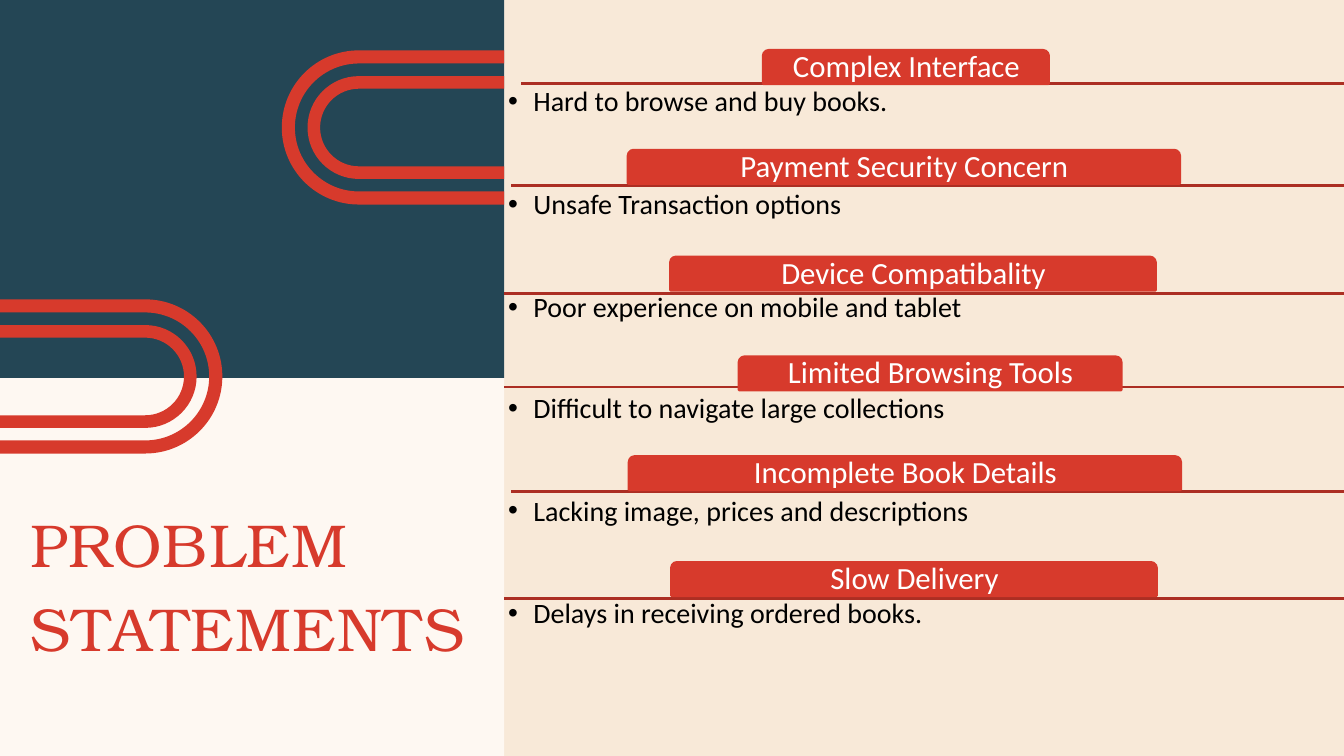
from lxml.etree import SubElement
from pptx import Presentation
from pptx.dml.color import RGBColor
from pptx.enum.shapes import MSO_CONNECTOR, MSO_SHAPE
from pptx.enum.text import MSO_ANCHOR, PP_ALIGN
from pptx.oxml.ns import qn
from pptx.util import Inches, Pt

TITLE = "PROBLEM STATEMENTS"
PROBLEMS = [
    ("Complex Interface", "Hard to browse and buy books."),
    ("Payment Security Concern", "Unsafe Transaction options"),
    ("Device Compatibality", "Poor experience on mobile and tablet"),
    ("Limited Browsing Tools", "Difficult to navigate large collections"),
    ("Incomplete Book Details", "Lacking image, prices and descriptions"),
    ("Slow Delivery", "Delays in receiving ordered books."),
]
COLORS = {
    "sand": "F8E9D8", "cream": "FEF8F2", "teal": "244655",
    "red": "D73A2C", "rule": "AC2E23", "white": "FFFFFF", "black": "000000",
}

WIDTH, HEIGHT = 13.33, 7.5
PANEL = 5
COLUMN = WIDTH - PANEL
TRIO = 3
TAB_HEIGHT = 0.33
TAB_LEFTS = (7.57, 6.23, 6.65, 7.33, 6.24, 6.66)
TAB_WIDTHS = (2.83, 5.47, 4.81, 3.79, 5.47, 4.81)
TAB_TOPS = (0.5, 1.49, 2.55, 3.54, 4.53, 5.58)
RULE_STARTS = (5.17, 5.07, 5, 5, 5.07, 5)
RULE_TOPS = (0.83, 1.84, 2.91, 3.84, 4.88, 5.94)
DETAIL_TOPS = (0.83, 1.85, 2.87, 3.87, 4.89, 5.91)
LOOP_REACH = 1.44
LOOP_BANDS = ((0.765, 0.635), (0.51, 0.385))
ARC_HANDLE = 0.5523


def rgb(name):
    return RGBColor.from_string(COLORS[name])


def paint(shape, color):
    shape.shadow.inherit = False
    shape.fill.solid()
    shape.fill.fore_color.rgb = rgb(color)
    shape.line.fill.background()


def add_filled(shapes, preset, box, color):
    shape = shapes.add_shape(preset, *map(Inches, box))
    paint(shape, color)
    return shape


def add_text(shapes, box, text, font, size, color, anchor, margins):
    holder = shapes.add_textbox(*map(Inches, box))
    frame = holder.text_frame
    frame.word_wrap = True
    frame.vertical_anchor = anchor
    frame.margin_left, frame.margin_top, frame.margin_right, frame.margin_bottom = map(Inches, margins)
    paragraph = frame.paragraphs[0]
    paragraph.text = text
    paragraph.font.name = font
    paragraph.font.size = Pt(size)
    paragraph.font.color.rgb = rgb(color)
    paragraph.line_spacing = 0.9
    return paragraph


def half_turn(radius):
    handle = radius * ARC_HANDLE
    return [(0, -radius), (handle, -radius), (radius, -handle), (radius, 0),
            (radius, handle), (handle, radius), (0, radius)]


def bend(band, first):
    outline = band._element.find(".//" + qn("a:pathLst"))[0]
    steps = list(outline)
    for start in (first, first + 3):
        curve = outline.makeelement(qn("a:cubicBezTo"), {})
        steps[start].addprevious(curve)
        for step in steps[start:start + 3]:
            curve.append(step[0])
            outline.remove(step)


def add_loop(slide, edge, direction, center_y):
    loop = slide.shapes.add_group_shape().shapes
    center_x = edge + direction * LOOP_REACH
    for outer, inner in LOOP_BANDS:
        offsets = [(-LOOP_REACH, -outer), *half_turn(outer), (-LOOP_REACH, outer),
                   (-LOOP_REACH, inner), *half_turn(inner)[::-1], (-LOOP_REACH, -inner)]
        points = [(Inches(center_x + direction * x), Inches(center_y + y)) for x, y in offsets]
        builder = loop.build_freeform(*points[0])
        builder.add_line_segments(points[1:], close=True)
        band = builder.convert_to_shape()
        bend(band, 11)
        bend(band, 2)
        paint(band, "red")


def add_rule(shapes, start, top):
    rule = shapes.add_connector(
        MSO_CONNECTOR.STRAIGHT, *map(Inches, (start, top, start + COLUMN, top)))
    rule.line.color.rgb = rgb("rule")
    rule.line.width = Pt(2)
    SubElement(rule._element.spPr, qn("a:effectLst"))


def add_tab(shapes, left, top, width, heading):
    tab = add_filled(shapes, MSO_SHAPE.ROUND_2_SAME_RECTANGLE, (left, top, width, TAB_HEIGHT), "red")
    tab.line.color.rgb = rgb("red")
    tab.line.width = Pt(2)
    label = add_text(shapes, (left + 0.02, top + 0.01, width - 0.03, 0.32), heading,
                     "Calibri", 22, "white", MSO_ANCHOR.MIDDLE, (0.05,) * 4)
    label.alignment = PP_ALIGN.CENTER


def add_detail(shapes, top, detail):
    bullet = add_text(shapes, (PANEL, top, COLUMN, 0.67), detail,
                      "Calibri", 20, "black", MSO_ANCHOR.TOP, (0.04,) * 4)
    bullet.level = 1
    bullet.runs[0].font.size = Pt(20)
    properties = bullet._p.get_or_add_pPr()
    properties.set("marL", str(Inches(0.25)))
    properties.set("indent", str(-Inches(0.25)))
    defaults = properties.find(qn("a:defRPr"))
    for tag, value in (("buFont", {"typeface": "Arial"}), ("buChar", {"char": "•"})):
        defaults.addprevious(properties.makeelement(qn("a:" + tag), value))


def add_title(slide):
    title = add_text(slide.shapes, (0.17, 4.46, 4.67, 2.19), TITLE, "TeX Gyre Bonum", 43.2,
                     "red", MSO_ANCHOR.BOTTOM, (0.13, 0.07, 0.13, 0.07))
    title.line_spacing = Pt(60)
    title.runs[0].font._element.set("spc", "100")


def main():
    deck = Presentation()
    deck.slide_width, deck.slide_height = Inches(WIDTH), Inches(HEIGHT)
    slide = deck.slides.add_slide(deck.slide_layouts[6])
    slide.background.fill.solid()
    slide.background.fill.fore_color.rgb = rgb("sand")

    add_filled(slide.shapes, MSO_SHAPE.RECTANGLE, (0, 0, PANEL, HEIGHT), "cream")
    add_filled(slide.shapes, MSO_SHAPE.RECTANGLE, (0, 0, PANEL, HEIGHT / 2), "teal")
    add_loop(slide, 0, 1, 3.735)
    add_loop(slide, PANEL, -1, 1.265)
    add_title(slide)

    for first in range(0, len(PROBLEMS), TRIO):
        trio = slide.shapes.add_group_shape().shapes
        members = range(first, first + TRIO)
        for index in reversed(members):
            add_rule(trio, RULE_STARTS[index], RULE_TOPS[index])
        for index in members:
            heading, detail = PROBLEMS[index]
            add_tab(trio, TAB_LEFTS[index], TAB_TOPS[index], TAB_WIDTHS[index], heading)
            add_detail(trio, DETAIL_TOPS[index], detail)

    deck.save("out.pptx")


if __name__ == "__main__":
    main()
